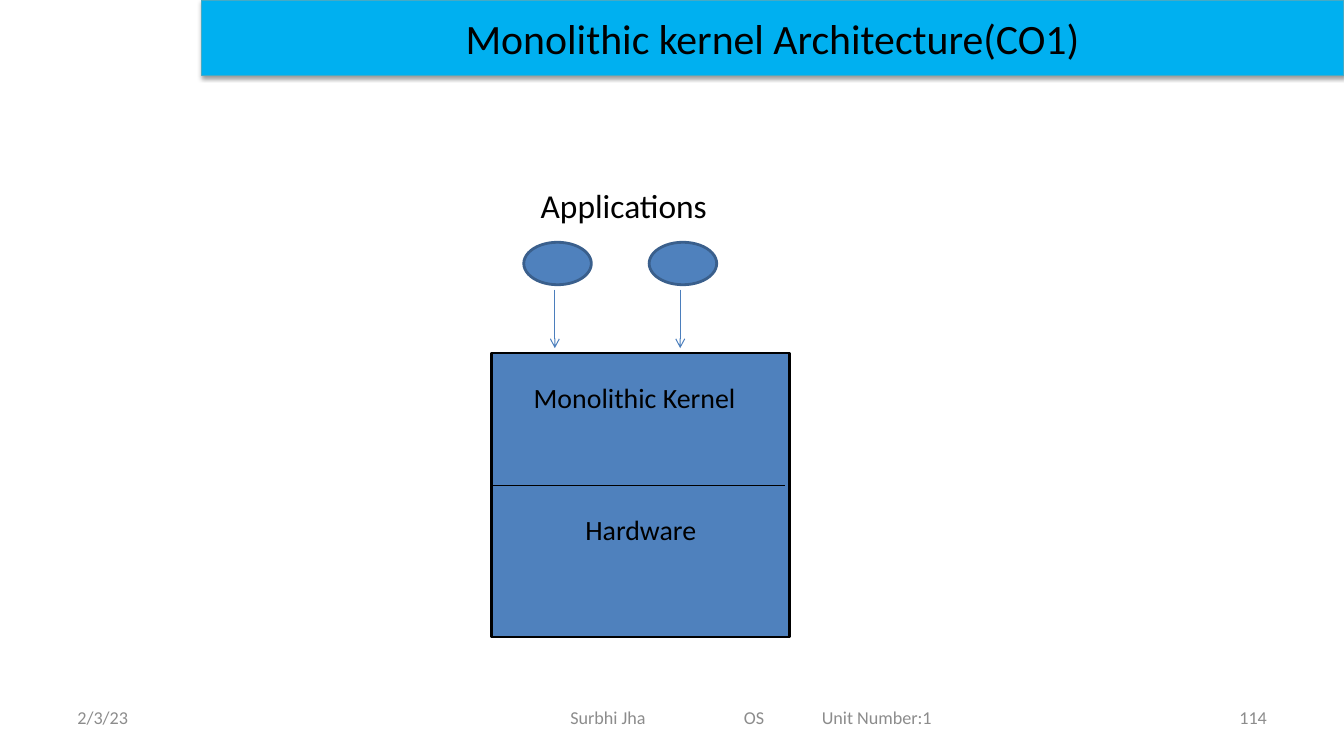
import dataclasses

import lxml.etree
import pptx
import pptx.dml.color
import pptx.enum.shapes
import pptx.enum.text
import pptx.oxml
import pptx.oxml.ns
import pptx.util

Pt = pptx.util.Pt
RGB = pptx.dml.color.RGBColor.from_string
qn = pptx.oxml.ns.qn
ALIGN = pptx.enum.text.PP_ALIGN
ANCHOR = pptx.enum.text.MSO_ANCHOR
SHAPE = pptx.enum.shapes.MSO_SHAPE


@dataclasses.dataclass(frozen=True)
class Theme:
    font: str = "Calibri"
    ink: str = "000000"
    muted: str = "8C8C8C"
    banner: str = "00B0F0"
    banner_edge: str = "46AAC5"
    block: str = "4F81BD"
    app_edge: str = "3A5F8C"
    arrow: str = "4B7EBC"
    title_size: float = 30
    heading_size: float = 24
    label_size: float = 20
    footer_size: float = 13
    thick: float = 2
    thin: float = 0.75


THEME = Theme()


def write(frame, text, size, color=THEME.ink, align=ALIGN.LEFT, anchor=ANCHOR.TOP):
    frame.word_wrap = True
    frame.vertical_anchor = anchor
    paragraph = frame.paragraphs[0]
    paragraph.alignment = align
    run = paragraph.add_run()
    run.text = text
    run.font.name = THEME.font
    run.font.size = Pt(size)
    run.font.color.rgb = RGB(color)


def add_label(slide, box, text, size, **style):
    label = slide.shapes.add_textbox(*map(Pt, box))
    write(label.text_frame, text, size, **style)
    return label


def paint(shape, fill, edge, weight):
    shape.fill.solid()
    shape.fill.fore_color.rgb = RGB(fill)
    shape.line.color.rgb = RGB(edge)
    shape.line.width = Pt(weight)


def add_block(slide, kind, box, edge):
    block = slide.shapes.add_shape(kind, *map(Pt, box))
    block.shadow.inherit = False
    paint(block, THEME.block, edge, THEME.thick)
    return block


def add_line(slide, start, end, color, arrow=False):
    line = slide.shapes.add_connector(
        pptx.enum.shapes.MSO_CONNECTOR.STRAIGHT, *map(Pt, (*start, *end)))
    line.line.color.rgb = RGB(color)
    line.line.width = Pt(THEME.thin)
    properties = line._element.spPr
    if arrow:
        lxml.etree.SubElement(properties.find(qn("a:ln")), qn("a:tailEnd"), type="arrow")
    lxml.etree.SubElement(properties, qn("a:effectLst"))


def add_banner(slide, box):
    banner = slide.shapes.title
    banner.left, banner.top, banner.width, banner.height = map(Pt, box)
    paint(banner, THEME.banner, THEME.banner_edge, THEME.thin)
    # Soft shadow straight below the banner
    banner._element.spPr.append(pptx.oxml.parse_xml(
        '<a:effectLst xmlns:a="http://schemas.openxmlformats.org/drawingml/2006/main">'
        '<a:outerShdw blurRad="40000" dist="20000" dir="5400000" rotWithShape="0">'
        '<a:srgbClr val="000000"><a:alpha val="38000"/></a:srgbClr>'
        '</a:outerShdw></a:effectLst>'))
    write(banner.text_frame, "Monolithic kernel Architecture(CO1)", THEME.title_size,
          align=ALIGN.CENTER, anchor=ANCHOR.MIDDLE)


def add_diagram(slide, box):
    left, top, width, height = box

    # Applications calling into the kernel
    add_label(slide, (left + 28, top, 159, 36), "Applications", THEME.heading_size)
    kernel_top = top + 124
    for index in range(2):
        app_left = left + 23 + 90 * index
        add_block(slide, SHAPE.OVAL, (app_left, top + 44.5, 48.5, 30.5), THEME.app_edge)
        call_x = app_left + 22.3
        add_line(slide, (call_x, top + 78.5), (call_x, kernel_top - 3.5),
                 THEME.arrow, arrow=True)

    # Kernel above hardware, parted by a divider
    stack = add_block(slide, SHAPE.RECTANGLE,
                      (left, kernel_top, width, height - 124), THEME.ink)
    stack.text_frame.margin_top = Pt(114.5)
    write(stack.text_frame, "Hardware", THEME.label_size, align=ALIGN.CENTER)
    divider_y = kernel_top + 95
    add_line(slide, (left, divider_y), (left + width - 3.5, divider_y), THEME.ink)
    add_label(slide, (left + 23, kernel_top + 16.5, 174, 32), "Monolithic Kernel",
              THEME.label_size)


def add_footer(slide, box):
    left, top, width, height = box
    side = 225.5
    style = dict(size=THEME.footer_size, color=THEME.muted, anchor=ANCHOR.MIDDLE)
    add_label(slide, (left, top, side, height), "2/3/23", **style)
    add_label(slide, (left + width - side, top, side, height), "114",
              align=ALIGN.RIGHT, **style)

    # Author, course and unit on tab stops
    course = slide.shapes.add_textbox(*map(Pt, (left + 217, top, 546, height)))
    course.text_frame.margin_left = Pt(144)
    properties = course.text_frame.paragraphs[0]._p.get_or_add_pPr()
    stops = lxml.etree.SubElement(properties, qn("a:tabLst"))
    for stop in (124.5, 180.5):
        lxml.etree.SubElement(stops, qn("a:tab"), pos=str(Pt(stop)), algn="l")
    write(course.text_frame, "Surbhi Jha\tOS\tUnit Number:1", **style)


def main():
    deck = pptx.Presentation()
    deck.slide_width, deck.slide_height = Pt(964.8), Pt(540)
    slide = deck.slides.add_slide(deck.slide_layouts.get_by_name("Title Only"))
    add_banner(slide, (144.8, 0, 820, 54))
    add_diagram(slide, (353, 129.5, 214, 328))
    add_footer(slide, (48.5, 500.5, 868, 29))
    deck.save("out.pptx")


if __name__ == "__main__":
    main()
